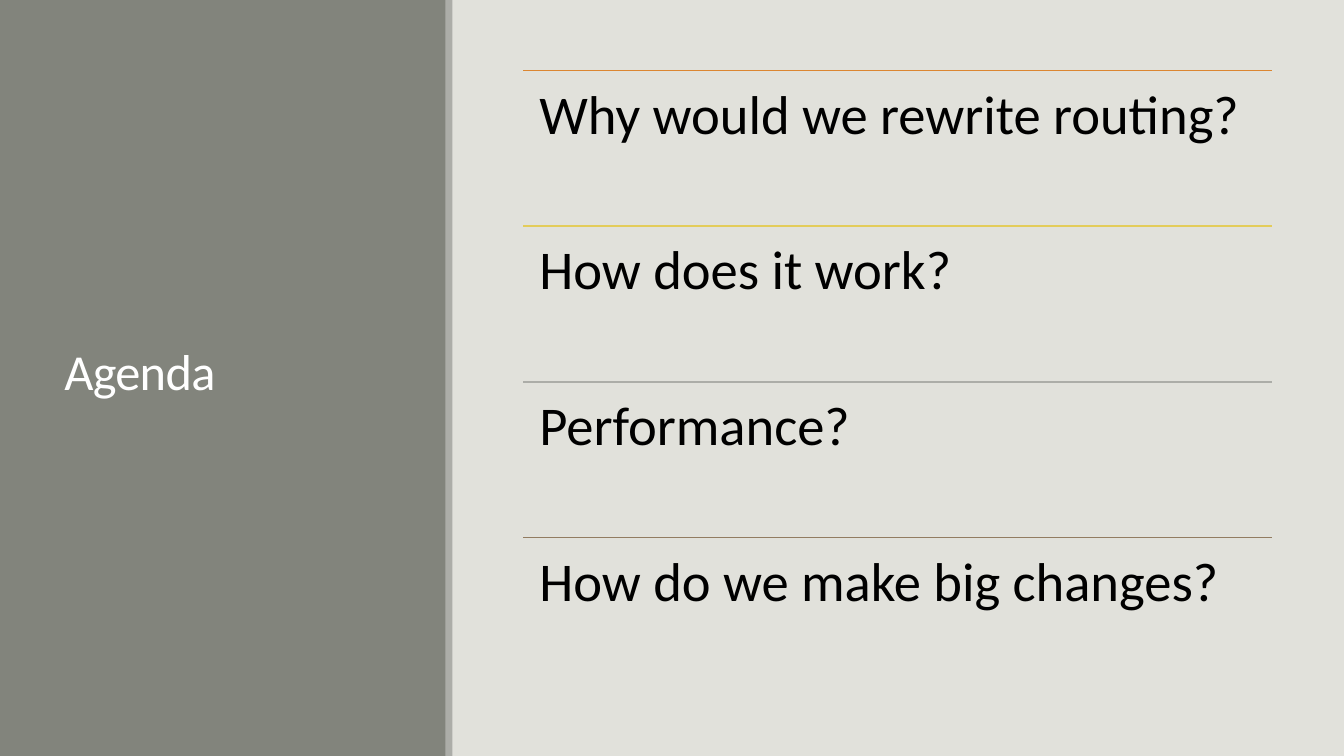
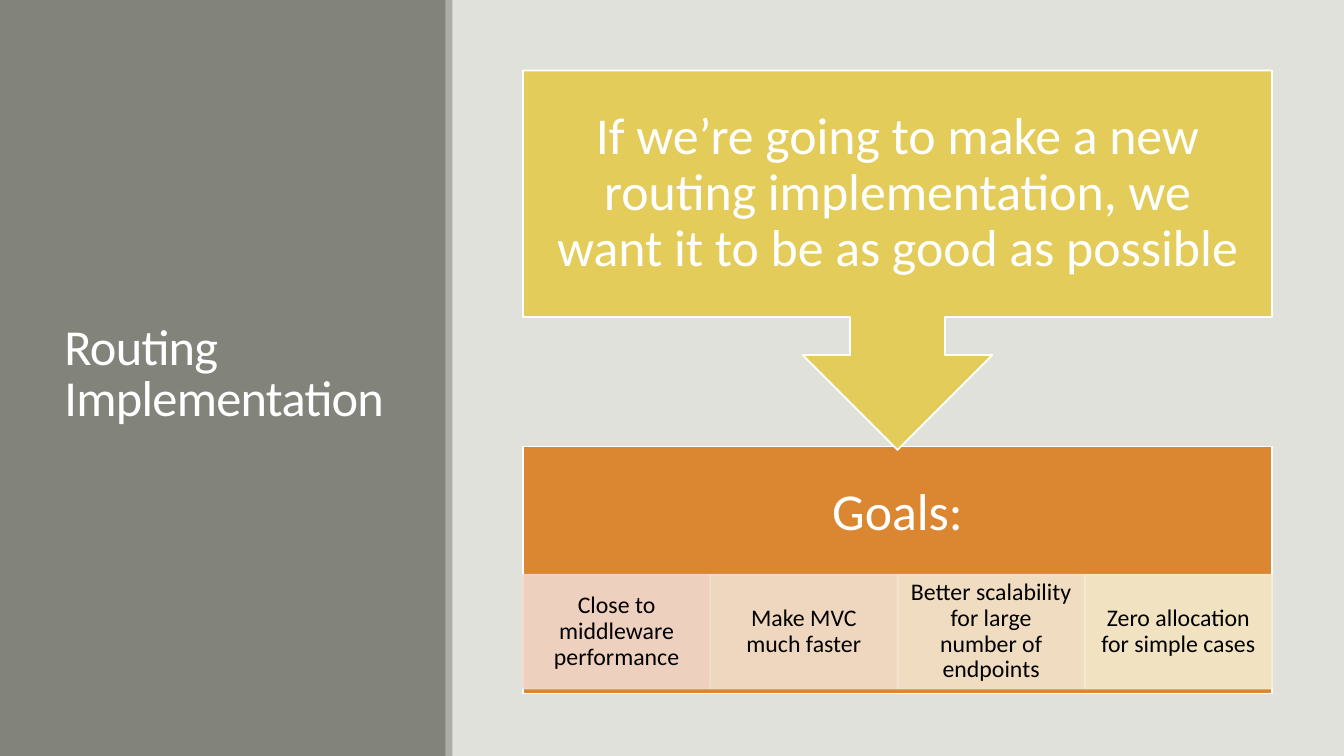
from lxml import etree
from pptx import Presentation
from pptx.dml.color import RGBColor
from pptx.enum import shapes, text
from pptx.oxml.ns import qn
from pptx.util import Pt

# Shared look
FONT = "Calibri"
WHITE, BLACK, PAPER = "FFFFFF", "000000", "E1E1DB"
OLIVE, GRAY, ORANGE, YELLOW, BROWN = "82847C", "ACADA8", "DB8631", "E3CC5A", "927C61"
LEFT, TOP, WIDTH = 373.6, 50.4, 535
SHAPE = shapes.MSO_SHAPE


def paint(target, color, alpha=None):
    """Give a fill, or the fill of a line, one solid colour."""
    target.solid()
    target.fore_color.rgb = RGBColor.from_string(color)
    if alpha:
        clr = target._xPr.find(qn("a:solidFill"))[0]
        etree.SubElement(clr, qn("a:alpha")).set("val", str(alpha * 1000))


def write(sp, words, size, color, inset, centered=True, middle=True, spacing=0.9):
    """Fill a shape with one paragraph; inset is (sides, top and bottom)."""
    tf = sp.text_frame
    tf.word_wrap = True
    tf.margin_left = tf.margin_right = Pt(inset[0])
    tf.margin_top = tf.margin_bottom = Pt(inset[1])
    tf.vertical_anchor = text.MSO_ANCHOR.MIDDLE if middle else text.MSO_ANCHOR.TOP
    p = tf.paragraphs[0]
    p.text = words
    p.alignment = text.PP_ALIGN.CENTER if centered else text.PP_ALIGN.LEFT
    p.line_spacing = spacing
    r = p.runs[0]
    r.font.name, r.font.size = FONT, Pt(size)
    paint(r.font.fill, color)
    return r


prs = Presentation()
prs.slide_width, prs.slide_height = Pt(960), Pt(540)

# Side panel and title on every slide
slides = []
for title in ("Agenda", "Routing Implementation"):
    s = prs.slides.add_slide(prs.slide_layouts[6])
    paint(s.background.fill, PAPER)
    for left, width, color in ((0, 319, OLIVE), (318.2, 5, GRAY)):
        sp = s.shapes.add_shape(SHAPE.RECTANGLE, Pt(left), 0, Pt(width), Pt(540))
        sp.shadow.inherit = False
        paint(sp.fill, color)
        sp.line.fill.background()
    sp = s.shapes.add_textbox(Pt(38.9), Pt(41), Pt(242.6), Pt(454.3))
    r = write(sp, title, 36, WHITE, (7.2, 3.6), centered=False, spacing=0.85)
    r.font._element.set("spc", "-50")
    slides.append(s)
agenda, routing = slides

# Agenda: ruled rows
ROW = 111.2
topics = (
    ("Why would we rewrite routing?", ORANGE),
    ("How does it work?", YELLOW),
    ("Performance?", GRAY),
    ("How do we make big changes?", BROWN),
)
for i, (topic, color) in enumerate(topics):
    y = Pt(TOP + i * ROW)
    rule = agenda.shapes.add_connector(
        shapes.MSO_CONNECTOR.STRAIGHT, Pt(LEFT), y, Pt(LEFT + WIDTH), y)
    etree.SubElement(rule._element.spPr, qn("a:effectLst"))
    paint(rule.line.fill, color)
    rule.line.width = Pt(1.25)
    sp = agenda.shapes.add_textbox(Pt(LEFT), y, Pt(WIDTH), Pt(ROW))
    write(sp, topic, 39, BLACK, (11.7, 11.7), centered=False, middle=False)

# Routing: goals box, goal cells, then the callout pointing at them
CELL = WIDTH / 4
boxes = [(SHAPE.RECTANGLE, LEFT, 319, WIDTH, 176.4, ORANGE, WHITE, None,
          "Goals:", 37, WHITE, (20.9, 20.9))]
goals = (
    ("Close to middleware performance", "F1D9CE"),
    ("Make MVC much faster", "F2E0CF"),
    ("Better scalability for large number of endpoints", "F3E6D0"),
    ("Zero allocation for simple cases", "F4ECD2"),
)
for i, (goal, tint) in enumerate(goals):
    boxes.append((SHAPE.RECTANGLE, LEFT + i * CELL, 410.5, CELL, 81.2, tint, tint, 90,
                  goal, 17, BLACK, (9.4, 1.5)))
boxes.append((SHAPE.DOWN_ARROW_CALLOUT, LEFT, TOP, WIDTH, 271, YELLOW, WHITE, None,
              "If we’re going to make a new routing implementation, "
              "we want it to be as good as possible", 37, WHITE, (20.9, 20.9)))

for kind, x, y, w, h, fill, edge, alpha, words, size, color, inset in boxes:
    sp = routing.shapes.add_shape(kind, Pt(x), Pt(y), Pt(w), Pt(h))
    sp.shadow.inherit = False
    paint(sp.fill, fill, alpha)
    paint(sp.line.fill, edge, alpha)
    sp.line.width = Pt(1.25)
    write(sp, words, size, color, inset)
    if words == "Goals:":  # keep the heading above the cells
        sp.text_frame.margin_bottom = Pt(102)

prs.save("out.pptx")
